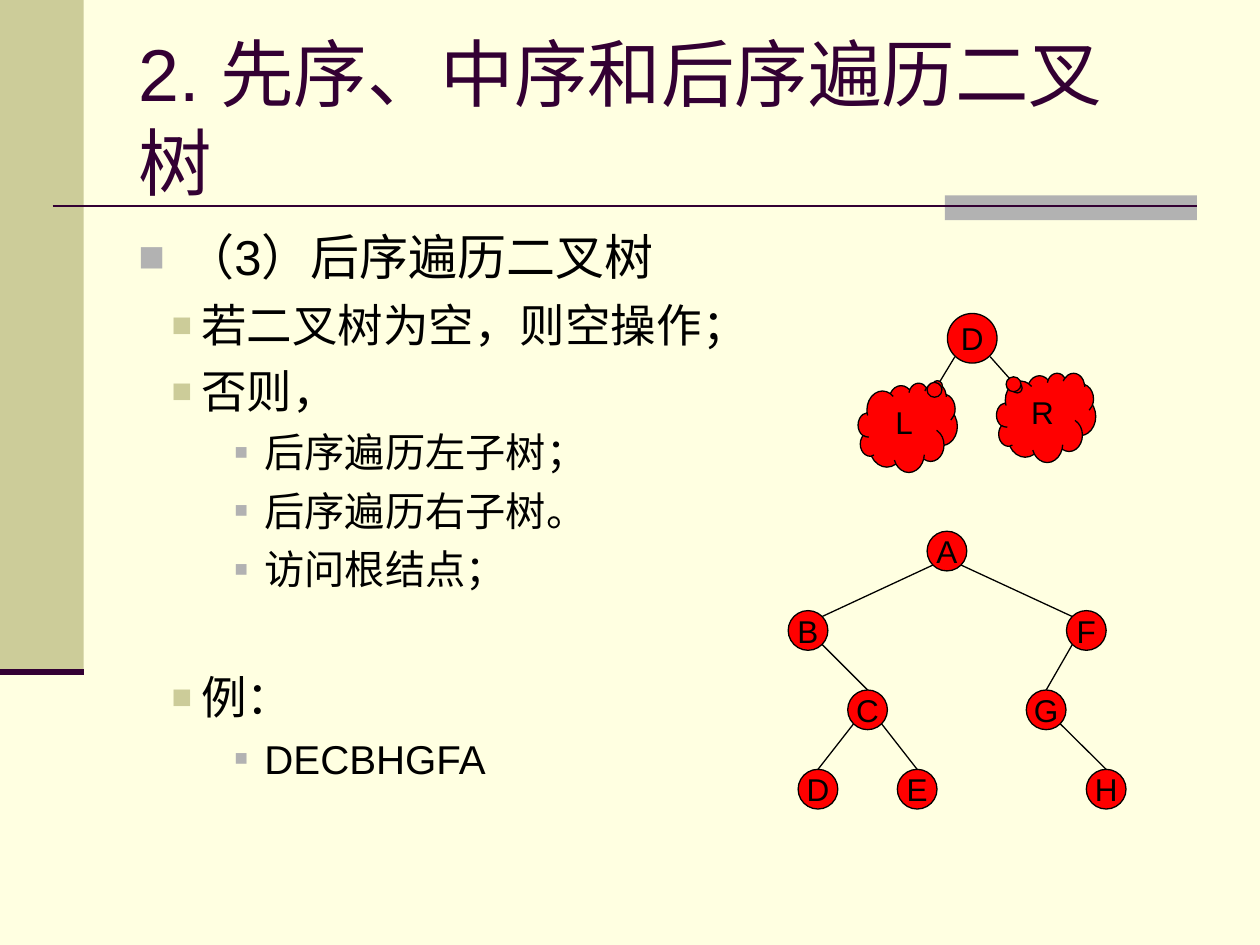
import pptx
import pptx.dml.color
import pptx.enum.shapes
import pptx.enum.text
import pptx.oxml
import pptx.oxml.ns
import pptx.util

Cm = pptx.util.Cm
Pt = pptx.util.Pt
RGBColor = pptx.dml.color.RGBColor
KIND = pptx.enum.shapes.MSO_SHAPE
ALIGN = pptx.enum.text.PP_ALIGN
ANCHOR = pptx.enum.text.MSO_ANCHOR

CREAM = RGBColor(0xFF, 0xFF, 0xE1)
TAN = RGBColor(0xCC, 0xCC, 0x99)
GREY = RGBColor(0xB2, 0xB2, 0xB2)
PLUM = RGBColor(0x33, 0x00, 0x33)
RED = RGBColor(0xFF, 0x00, 0x00)
BLACK = RGBColor(0x00, 0x00, 0x00)

deck = pptx.Presentation()
deck.slide_width, deck.slide_height = Cm(25.4), Cm(19.05)
slide = deck.slides.add_slide(deck.slide_layouts[6])
slide.background.fill.solid()
slide.background.fill.fore_color.rgb = CREAM
shapes = slide.shapes


def write(para, text, size=18, color=BLACK, align=ALIGN.LEFT, before=0,
          level=0, left=0, hang=0, bullet=None):
    """Fill a paragraph; bullet is a pair of colour and percent of text size."""
    props = para._p.get_or_add_pPr()
    if bullet:
        props.set("marL", str(Cm(left)))
        props.set("indent", str(-Cm(hang)))
        space = pptx.oxml.ns.nsdecls("a")
        for xml in (
            f'<a:buClr {space}><a:srgbClr val="{bullet[0]}"/></a:buClr>',
            f'<a:buSzPct {space} val="{bullet[1] * 1000}"/>',
            f'<a:buFont {space} typeface="Arial"/>',
            f'<a:buChar {space} char="■"/>',
        ):
            props.append(pptx.oxml.parse_xml(xml))
    para.level = level
    para.alignment = align
    para.space_before = Pt(before)
    run = para.add_run()
    run.text = text
    run.font.name = "Arial"
    run.font.size = Pt(size)
    run.font.color.rgb = color


def draw_line(x1, y1, x2, y2, color=BLACK, width=0.75):
    line = shapes.add_connector(pptx.enum.shapes.MSO_CONNECTOR.STRAIGHT,
                                Cm(x1), Cm(y1), Cm(x2), Cm(y2))
    line.line.color.rgb = color
    line.line.width = Pt(width)
    line._element.spPr.append(pptx.oxml.parse_xml(
        f'<a:effectLst {pptx.oxml.ns.nsdecls("a")}/>'))


# Frame
for x, y, w, h, color in [(0, 0, 1.69, 13.55, TAN), (19.05, 3.94, 5.08, 0.5, GREY)]:
    bar = shapes.add_shape(KIND.RECTANGLE, Cm(x), Cm(y), Cm(w), Cm(h))
    bar.shadow.inherit = False
    bar.fill.solid()
    bar.fill.fore_color.rgb = color
    bar.line.fill.background()
draw_line(1.06, 4.15, 24.13, 4.15, PLUM, 1.5)
draw_line(0, 13.55, 1.69, 13.55, PLUM, 3.5)

# Title
title = shapes.add_textbox(Cm(2.54), Cm(0.76), Cm(21.59), Cm(3.18)).text_frame
title.word_wrap = True
title.vertical_anchor = ANCHOR.MIDDLE
title.margin_right = Cm(0.8)
write(title.paragraphs[0], "2. 先序、中序和后序遍历二叉树", size=42, color=PLUM)

# Outline
STYLES = [
    dict(size=28, before=7, left=0.95, hang=0.95, bullet=(GREY, 90)),
    dict(size=26, before=6.5, left=1.27, hang=0.6, bullet=(TAN, 75)),
    dict(size=23, before=5.8, left=2.54, hang=0.6, bullet=(GREY, 55)),
]
body = shapes.add_textbox(Cm(2.54), Cm(4.45), Cm(21.59), Cm(12.57)).text_frame
body.word_wrap = True
for i, (level, text, extra) in enumerate([
    (0, "（3）后序遍历二叉树", dict(before=0)),
    (1, "若二叉树为空，则空操作；", {}),
    (1, "否则，", {}),
    (2, "后序遍历左子树；", {}),
    (2, "后序遍历右子树。", {}),
    (2, "访问根结点；", {}),
    (1, "例：", dict(before=43.5)),
    (2, "DECBHGFA", {}),
]):
    para = body.add_paragraph() if i else body.paragraphs[0]
    write(para, text, level=level, **{**STYLES[level], **extra})

# Tree edges leave a parent on the diagonal
TOP, STEP, SIZE, DIAG = 11.11, 1.6, 0.8, 0.28
nodes = {
    "A": (19.09, 0), "B": (16.29, 1), "F": (21.9, 1), "C": (17.49, 2),
    "G": (21.09, 2), "D": (16.49, 3), "E": (18.49, 3), "H": (22.3, 3),
}
for start, end in ["AB", "AF", "BC", "FG", "CD", "CE", "GH"]:
    x1, row1 = nodes[start]
    x2, row2 = nodes[end]
    side = DIAG if x2 > x1 else -DIAG
    y1, y2 = TOP + row1 * STEP + DIAG, TOP + row2 * STEP
    if start == "A":
        draw_line(x1 + side, y1, x2 - side, y2 - DIAG)
    else:
        draw_line(x1 + side, y1, x2, y2 - SIZE / 2)
draw_line(19.25, 7.19, 18.9, 7.77)
draw_line(19.96, 7.19, 20.52, 7.82)

# Nodes and subtrees
parts = [
    ("D", KIND.OVAL, 19.1, 6.32, 1, 1, ()),
    ("L", KIND.CLOUD_CALLOUT, 17.3, 7.72, 2, 1.8, (0.3, -0.47)),
    ("R", KIND.CLOUD_CALLOUT, 20.09, 7.52, 2, 1.8, (-0.29, -0.33)),
]
for name, (x, row) in nodes.items():
    parts.append((name, KIND.OVAL, x - SIZE / 2, TOP + row * STEP - SIZE / 2,
                  SIZE, SIZE, ()))
for name, kind, x, y, w, h, tail in parts:
    part = shapes.add_shape(kind, Cm(x), Cm(y), Cm(w), Cm(h))
    part.shadow.inherit = False
    part.fill.solid()
    part.fill.fore_color.rgb = RED
    part.line.color.rgb = BLACK
    part.line.width = Pt(0.75)
    for i, value in enumerate(tail):
        part.adjustments[i] = value
    frame = part.text_frame
    frame.word_wrap = kind != KIND.OVAL
    frame.vertical_anchor = ANCHOR.MIDDLE if kind == KIND.OVAL else ANCHOR.TOP
    write(frame.paragraphs[0], name, align=ALIGN.CENTER)

deck.save("out.pptx")
